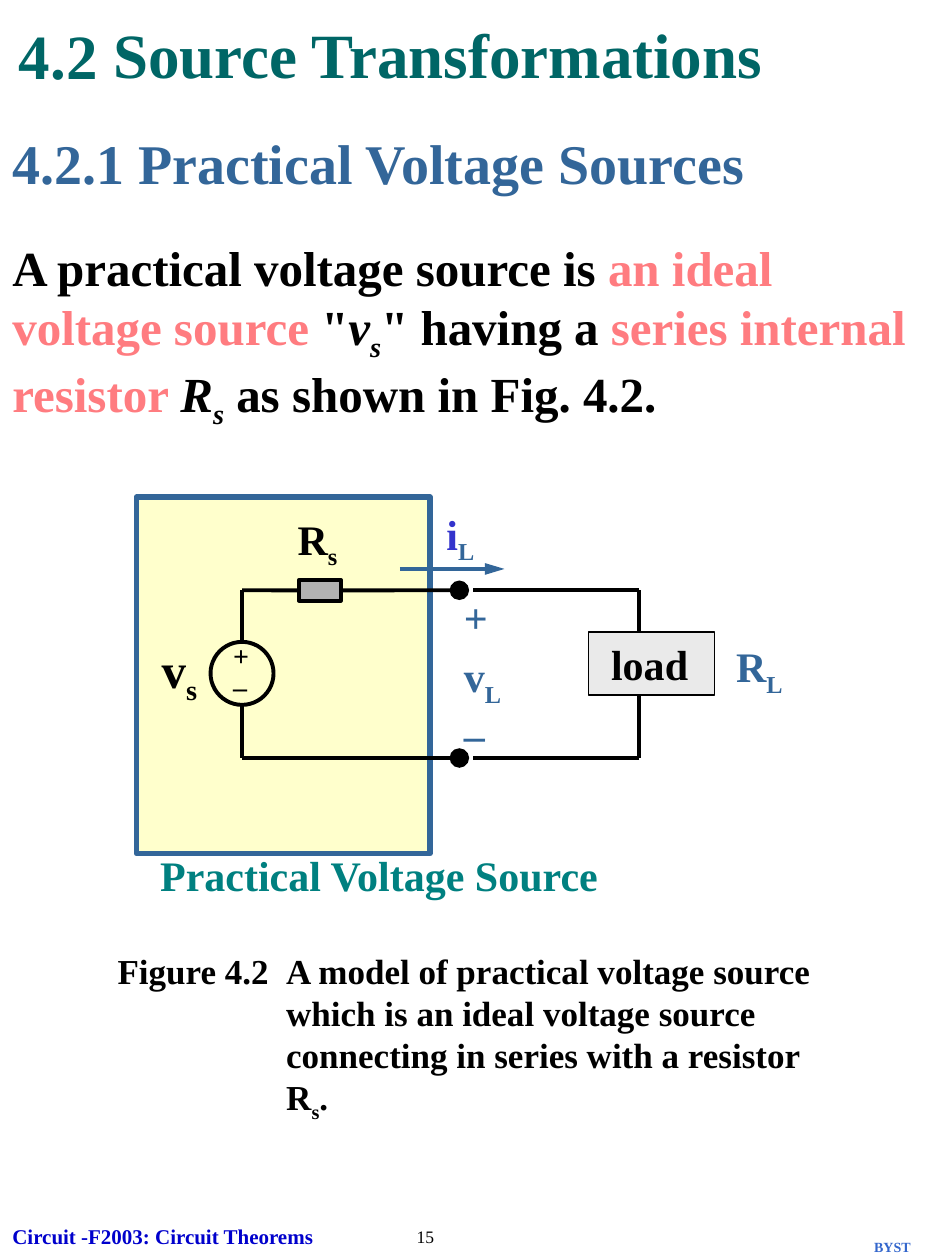
from lxml import etree
from pptx import Presentation
from pptx.dml.color import RGBColor
from pptx.enum.shapes import MSO_CONNECTOR as Link, MSO_SHAPE as Shape
from pptx.oxml.ns import qn
from pptx.util import Cm, Pt

FONT = "Times New Roman"
COLORS = {
    "black": "000000", "title": "006666", "steel": "336699", "teal": "008080",
    "pink": "FF7C80", "violet": "3333CC", "footer": "0000CC", "mark": "3366CC",
    "cream": "FFFFCC", "load": "EAEAEA", "resistor": "B2B2B2",
}
SUB = {"sub": True}
ITALIC = {"italic": True}
PINK = {"color": "pink"}


def rgb(name):
    return RGBColor.from_string(COLORS[name])


def add_text(shapes, box, paras, size, color="black", bold=True, wrap=True,
             spacing=None, before=0):
    """Each paragraph is a list of spans: plain strings or (text, style) pairs."""
    frame = shapes.add_textbox(*map(Cm, box)).text_frame
    frame.word_wrap = wrap
    for index, spans in enumerate(paras):
        para = frame.paragraphs[0] if index == 0 else frame.add_paragraph()
        if index:
            para.space_before = Pt(before)
        if spacing:
            para.line_spacing = spacing
        font = para.font
        font.name, font.size, font.bold = FONT, Pt(size), bold
        font.color.rgb = rgb(color)
        for item in spans:
            text, style = (item, {}) if isinstance(item, str) else item
            span = para.add_run()
            span.text = text
            if "color" in style:
                span.font.color.rgb = rgb(style["color"])
            if "italic" in style:
                span.font.italic = True
            if "sub" in style:
                span._r.get_or_add_rPr().set("baseline", "-25000")


def add_part(page, kind, box, fill, line, width):
    part = page.shapes.add_shape(kind, *map(Cm, box))
    part.shadow.inherit = False
    if fill:
        part.fill.solid()
        part.fill.fore_color.rgb = rgb(fill)
    else:
        part.fill.background()
    part.line.color.rgb = rgb(line)
    part.line.width = Pt(width)
    return part


def add_wire(page, start, end, color="black", tip=None, tip_width="lg"):
    wire = page.shapes.add_connector(Link.STRAIGHT, *map(Cm, start + end))
    wire.line.color.rgb = rgb(color)
    wire.line.width = Pt(2.25)
    if tip:
        etree.SubElement(wire.line._get_or_add_ln(), qn("a:tailEnd"),
                         type=tip, w=tip_width, len="lg")
    etree.SubElement(wire._element.spPr, qn("a:effectLst"))
    return wire


def add_circuit(page, left, top):
    """Draw the source, its series resistor and the load from the given corner."""
    def at(x, y, *size):
        return (left + x, top + y, *size)

    def label(box, spans, size=24, color="black", wrap=False):
        add_text(page.shapes, at(*box), [spans], size, color, wrap=wrap)

    source_x, terminal_x, gap_x, load_x = 2.13, 6.51, 6.79, 10.14
    rail_top, rail_bottom = 1.88, 5.26
    source_top, source_size = 2.92, 1.27
    load_top, load_height = 2.72, 1.27

    add_part(page, Shape.RECTANGLE, at(0, 0, 5.92, 7.19), "cream", "steel", 3)
    resistor = add_part(page, Shape.RECTANGLE, at(3.28, rail_top - 0.21, 0.84, 0.42),
                        "resistor", "black", 2.25)
    add_part(page, Shape.OVAL,
             at(source_x - source_size / 2, source_top, source_size, source_size),
             None, "black", 2.25)

    add_wire(page, at(source_x, rail_top), at(3.28, rail_top)).end_connect(resistor, 1)
    add_wire(page, at(4.12, rail_top), at(terminal_x, rail_top),
             tip="oval").begin_connect(resistor, 3)
    add_wire(page, at(source_x, rail_bottom), at(terminal_x, rail_bottom), tip="oval")
    add_wire(page, at(source_x, source_top), at(source_x, rail_top))
    add_wire(page, at(source_x, rail_bottom), at(source_x, source_top + source_size))
    for rail, load_edge in ((rail_top, load_top), (rail_bottom, load_top + load_height)):
        add_wire(page, at(gap_x, rail), at(load_x, rail))
        add_wire(page, at(load_x, rail), at(load_x, load_edge))
    add_wire(page, at(5.31, 1.45), at(7.42, 1.45), "steel", "triangle", "med")

    add_part(page, Shape.RECTANGLE, at(9.12, load_top, 2.54, load_height),
             "load", "black", 0.75)
    label((9.32, load_top, 2.97, load_height), ["load"], wrap=True)
    label((11.84, 2.77, 1.5, 1.42), ["R", ("L", SUB)], color="steel", wrap=True)
    label((3, 0.2, 1.5, 1.42), ["R", ("s", SUB)], wrap=True)
    label((0.26, 2.75, 1.4, 1.6), ["v", ("s", SUB)], size=28, wrap=True)
    label((6, 0.1, 1.47, 1.42),
          [("i", {"color": "violet"}), ("L", SUB)], color="steel", wrap=True)
    label((0.23, 6.98, 9.88, 1.27), ["Practical Voltage Source"], color="teal", wrap=True)

    add_text(page.shapes, at(1.7, 3.07, 1.27, 1.17), [["+"], ["–"]], 16,
             spacing=0.4, before=10)
    add_text(page.shapes, at(6.35, 2.13, 2.74, 3.23),
             [["+"], ["v", ("L", SUB)], ["–"]], 24, "steel", spacing=0.6, before=15)


def add_headings(page, left, top):
    add_text(page.shapes, (left + 2.03, top, 15.95, 1.78),
             [["Source Transformations"]], 36, "title")
    add_text(page.shapes, (left + 0.13, top + 0.03, 2.18, 1.78), [["4.2"]], 36, "title")
    add_text(page.shapes, (left, top + 2.28, 17.98, 1.63),
             [["4.2.1 Practical Voltage Sources"]], 32, "steel")


def add_definition(page, box):
    add_text(page.shapes, box, [[
        "A practical voltage source is ", ("an ideal voltage source ", PINK),
        '"', ("v", ITALIC), ("s", {**ITALIC, **SUB}), '" having a ',
        ("series internal resistor ", PINK),
        ("R", ITALIC), ("s", {**ITALIC, **SUB}), " as shown in Fig. 4.2.",
    ]], 28)


def add_caption(page, left, top):
    group = page.shapes.add_group_shape()
    add_text(group.shapes, (left, top, 3.81, 1.12), [["Figure 4.2"]], 20)
    add_text(group.shapes, (left + 3.4, top, 11.43, 3.76), [[
        "A model of practical voltage source which is an ideal voltage source "
        "connecting in series with a resistor R", ("s", SUB), "."]], 20)


def add_footer(page, left, top):
    add_text(page.shapes, (left, top, 8.69, 0.76),
             [["Circuit -F2003: Circuit Theorems"]], 12, "footer")
    add_text(page.shapes, (left + 8.15, top + 0.05, 1.98, 0.69), [["15"]], 10, bold=False)
    add_text(page.shapes, (left + 17.37, top + 0.3, 1.24, 0.61), [["BYST"]], 8, "mark",
             wrap=False)


def main():
    deck = Presentation()
    deck.slide_width, deck.slide_height = Cm(19.05), Cm(25.4)
    page = deck.slides.add_slide(deck.slide_layouts[6])
    add_headings(page, 0, 0.18)
    add_definition(page, (0, 4.66, 19.05, 4.14))
    add_circuit(page, 2.75, 10.02)
    add_caption(page, 2.12, 19.01)
    add_footer(page, 0, 24.54)
    deck.save("out.pptx")


if __name__ == "__main__":
    main()
